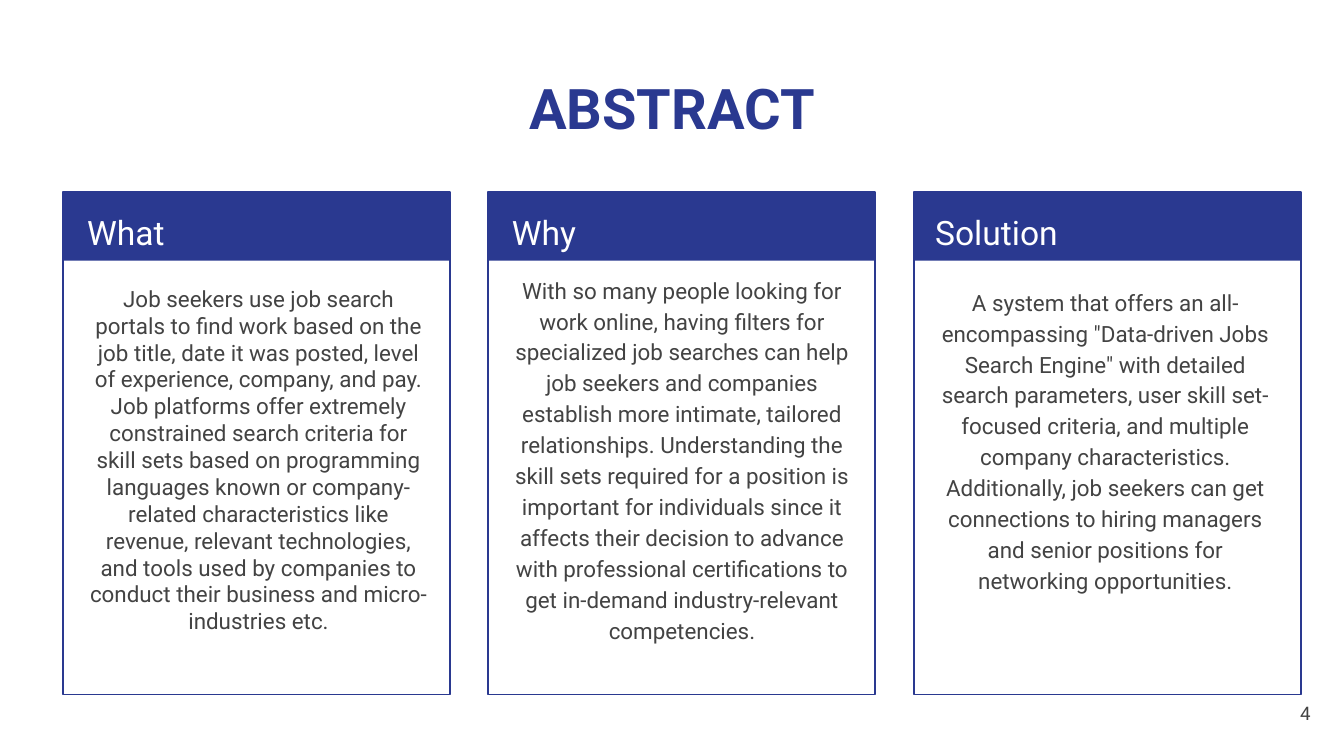
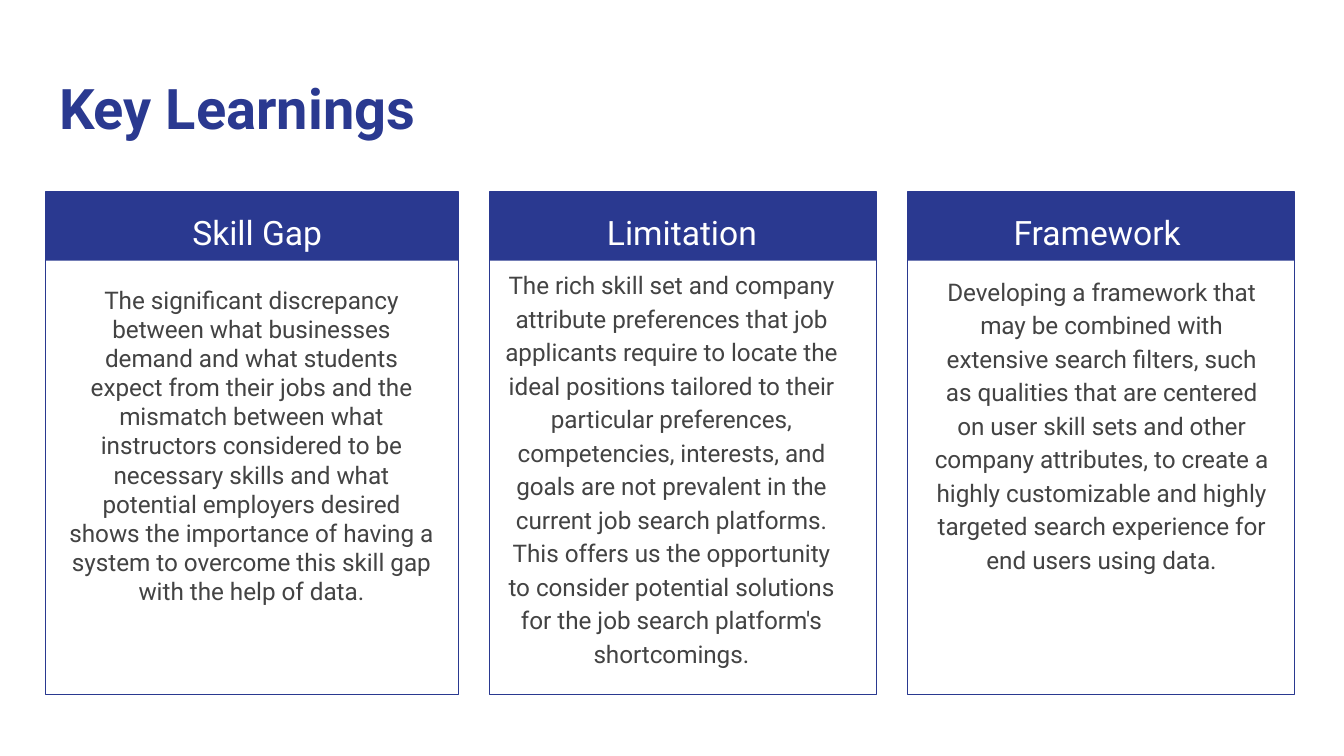
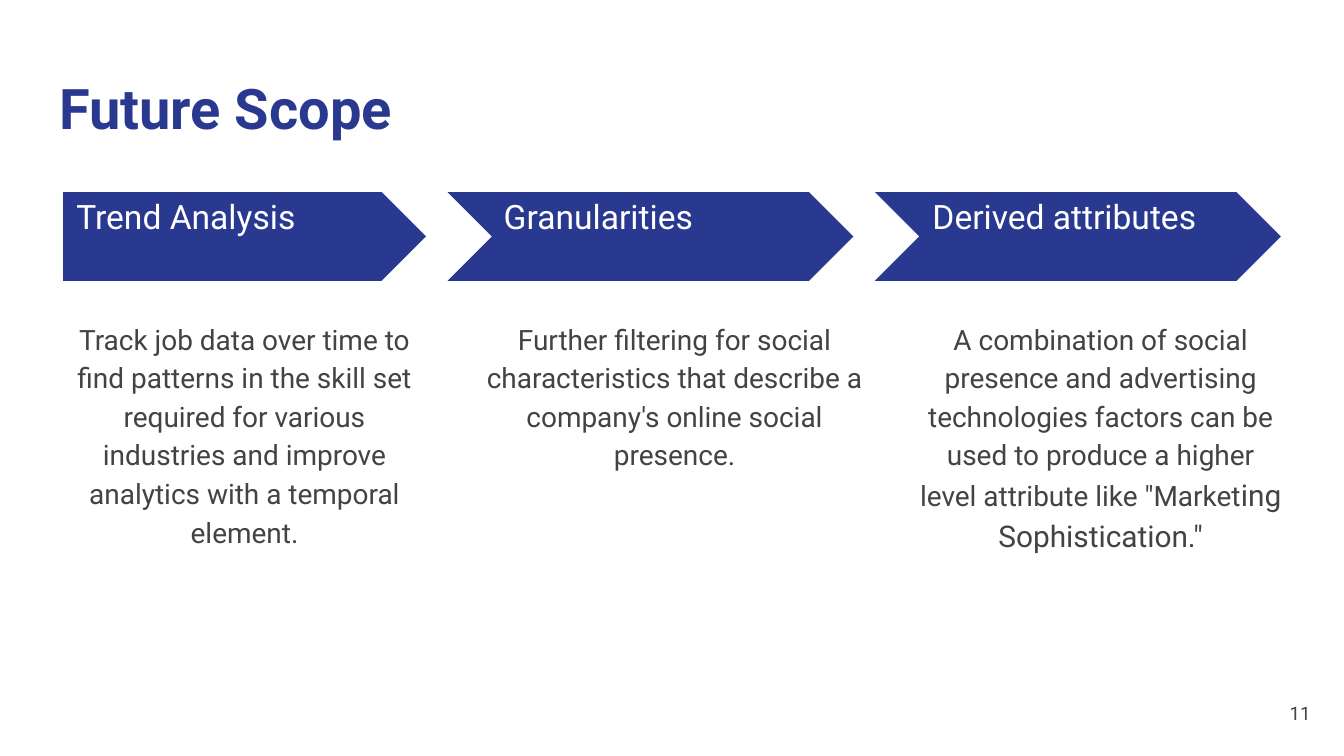
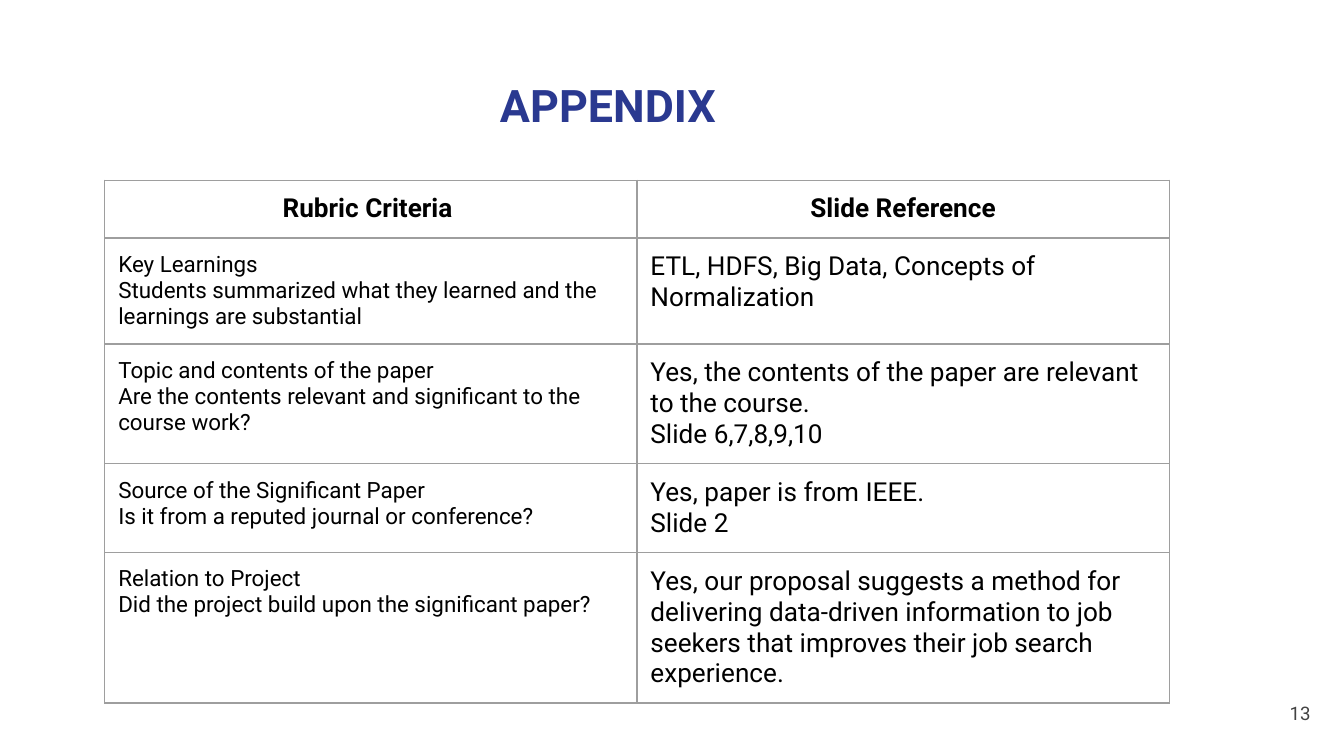
from pptx import Presentation
from pptx.dml.color import RGBColor
from pptx.enum.shapes import MSO_SHAPE as Shape
from pptx.enum.text import MSO_ANCHOR as Anchor, MSO_AUTO_SIZE as AutoSize, PP_ALIGN as Align
from pptx.oxml import parse_xml
from pptx.oxml.ns import nsdecls
from pptx.util import Inches, Pt

FONT = "Roboto"
BLUE = "2A3990"
GREY = "434343"
WHITE = "FFFFFF"
BLACK = "000000"
BORDER = "9E9E9E"
BAND_TOP = 1.43


def color(code):
    return RGBColor.from_string(code)


def write(frame, text, size, code, align=Align.LEFT, spacing=1.0, bold=False, anchor=Anchor.TOP):
    frame.text = text
    frame.word_wrap = True
    frame.auto_size = AutoSize.NONE
    frame.vertical_anchor = anchor
    frame.margin_left = frame.margin_right = Inches(0.1)
    frame.margin_top = frame.margin_bottom = Inches(0.1)
    for para in frame.paragraphs:
        para.alignment = align
        para.line_spacing = spacing
        for span in para.runs:
            span.font.name = FONT
            span.font.size = Pt(size)
            span.font.bold = bold
            span.font.color.rgb = color(code)


deck = Presentation()
deck.slide_width = Inches(10)
deck.slide_height = deck.slide_width * 9 // 16

headings = [
    ("ABSTRACT", (0.34, 0.45, 9.32, 0.66), 30, Align.CENTER, "4"),
    ("Key Learnings", (0.34, 0.45, 9.32, 0.66), 30, Align.LEFT, None),
    ("Future Scope", (0.34, 0.45, 9.32, 0.66), 30, Align.LEFT, "11"),
    ("APPENDIX", (3.62, 0.48, 2.25, 0.61), 24, Align.LEFT, "13"),
]
pages = []
for heading, place, size, align, number in headings:
    page = deck.slides.add_slide(deck.slide_layouts[5])
    title = page.shapes.title
    title.left, title.top, title.width, title.height = [Inches(value) for value in place]
    write(title.text_frame, heading, size, BLUE, align, bold=True)
    if number:
        box = page.shapes.add_textbox(Inches(9.25), Inches(5.09), Inches(0.6), Inches(0.43))
        write(box.text_frame, number, 10, GREY, Align.RIGHT, anchor=Anchor.MIDDLE)
    pages.append(page)
abstract, learnings, future, appendix = pages

cards = [
    (abstract, 0.47, 2.88, "What", 0.55, Align.LEFT, (0.56, 2.02, 2.73), 12, 1.0,
     "Job seekers use job search portals to find work based on the job title, date it was posted, "
     "level of experience, company, and pay. Job platforms offer extremely constrained search "
     "criteria for skill sets based on programming languages known or company-related "
     "characteristics like revenue, relevant technologies, and tools used by companies to conduct "
     "their business and micro-industries etc."),
    (abstract, 3.63, 2.88, "Why", 3.71, Align.LEFT, (3.72, 1.93, 2.71), 12, 1.15,
     "With so many people looking for work online, having filters for specialized job searches "
     "can help job seekers and companies establish more intimate, tailored relationships. "
     "Understanding the skill sets required for a position is important for individuals since it "
     "affects their decision to advance with professional certifications to get in-demand "
     "industry-relevant competencies."),
    (abstract, 6.8, 2.88, "Solution", 6.86, Align.LEFT, (6.87, 2.02, 2.71), 12, 1.15,
     'A system that offers an all-encompassing "Data-driven Jobs Search Engine" with detailed '
     "search parameters, user skill set-focused criteria, and multiple company characteristics. "
     "Additionally, job seekers can get connections to hiring managers and senior positions for "
     "networking opportunities."),
    (learnings, 0.34, 3.07, "Skill Gap", 0.55, Align.CENTER, (0.4, 2.02, 2.94), 13, 1.0,
     "The significant discrepancy between what businesses demand and what students expect from "
     "their jobs and the mismatch between what instructors considered to be necessary skills and "
     "what potential employers desired shows the importance of having a system to overcome this "
     "skill gap with the help of data."),
    (learnings, 3.64, 2.88, "Limitation", 3.71, Align.CENTER, (3.64, 1.88, 2.71), 13, 1.15,
     "The rich skill set and company attribute preferences that job applicants require to locate "
     "the ideal positions tailored to their particular preferences, competencies, interests, and "
     "goals are not prevalent in the current job search platforms. This offers us the opportunity "
     "to consider potential solutions for the job search platform's shortcomings."),
    (learnings, 6.75, 2.88, "Framework ", 6.83, Align.CENTER, (6.84, 1.93, 2.71), 13, 1.15,
     "Developing a framework that may be combined with extensive search filters, such as "
     "qualities that are centered on user skill sets and other company attributes, to create a "
     "highly customizable and highly targeted search experience for end users using data."),
]
for page, left, width, label, label_left, align, body_place, size, spacing, body in cards:
    band = page.shapes.add_shape(
        Shape.RECTANGLE, Inches(left), Inches(BAND_TOP), Inches(width), Inches(0.51))
    band.shadow.inherit = False
    band.fill.solid()
    band.fill.fore_color.rgb = color(BLUE)
    band.line.fill.background()

    outline = page.shapes.add_shape(
        Shape.RECTANGLE, Inches(left), Inches(BAND_TOP), Inches(width), Inches(3.74))
    outline.shadow.inherit = False
    outline.fill.background()
    outline.line.color.rgb = color(BLUE)
    outline.line.width = Pt(0.75)

    box = page.shapes.add_textbox(Inches(label_left), Inches(BAND_TOP), Inches(2.73), Inches(0.5))
    write(box.text_frame, label, 18, WHITE, align, 1.15)

    body_left, body_top, body_width = body_place
    box = page.shapes.add_textbox(
        Inches(body_left), Inches(body_top), Inches(body_width), Inches(3.06))
    write(box.text_frame, body, size, GREY, Align.CENTER, spacing)

steps = [
    (Shape.PENTAGON, 0.47, 2.7, "Trend Analysis", 0.47, 0.47, 2.7,
     "Track job data over time to find patterns in the skill set required for various industries "
     "and improve analytics with a temporal element.", ""),
    (Shape.CHEVRON, 3.33, 3.02, "Granularities", 3.65, 3.47, 3.1,
     "Further filtering for social characteristics that describe a company's online social "
     "presence.", ""),
    (Shape.CHEVRON, 6.51, 3.02, "Derived attributes", 6.84, 6.72, 2.94,
     "A combination of social presence and advertising technologies factors can be used to "
     'produce a higher level attribute like "Market', 'ing Sophistication."'),
]
for kind, left, width, label, label_left, body_left, body_width, body, larger_ending in steps:
    arrow = future.shapes.add_shape(
        kind, Inches(left), Inches(BAND_TOP), Inches(width), Inches(0.66))
    arrow.adjustments[0] = 0.5
    arrow.shadow.inherit = False
    arrow.fill.solid()
    arrow.fill.fore_color.rgb = color(BLUE)
    arrow.line.fill.background()

    box = future.shapes.add_textbox(Inches(label_left), Inches(1.44), Inches(2.47), Inches(0.34))
    write(box.text_frame, label, 18, WHITE, anchor=Anchor.MIDDLE)

    box = future.shapes.add_textbox(
        Inches(body_left), Inches(2.26), Inches(body_width), Inches(2.9))
    write(box.text_frame, body, 15, GREY, Align.CENTER, 1.15)
    if larger_ending:
        span = box.text_frame.paragraphs[0].add_run()
        span.text = larger_ending
        span.font.name = FONT
        span.font.size = Pt(16)
        span.font.color.rgb = color(GREY)

rubric = [
    (0.42, "Rubric Criteria ", "Slide Reference"),
    (0.79, "Key Learnings\n"
     "Students summarized what they learned and the learnings are substantial",
     "ETL, HDFS, Big Data, Concepts of Normalization"),
    (0.88, "Topic and contents of the paper\n"
     "Are the contents relevant and significant to the course work?",
     "Yes, the contents of the paper are relevant to the course. \vSlide 6,7,8,9,10"),
    (0.66, "Source of the Significant Paper\n"
     "Is it from a reputed journal or conference?",
     "Yes, paper is from IEEE.\vSlide 2"),
    (1.12, "Relation to Project\n"
     "Did the project build upon the significant paper?",
     "Yes, our proposal suggests a method for delivering data-driven information to job seekers "
     "that improves their job search experience."),
]
table_height = sum(height for height, *texts in rubric)
table = appendix.shapes.add_table(
    len(rubric), 2, Inches(0.78), Inches(1.34), Inches(7.92), Inches(table_height)).table
table.first_row = False
table.horz_banding = False
for column in table.columns:
    column.width = Inches(3.96)
for row_index, (height, *texts) in enumerate(rubric):
    table.rows[row_index].height = Inches(height)
    header = row_index == 0
    for column_index, text in enumerate(texts):
        cell = table.cell(row_index, column_index)
        size = 14 if header or column_index == 1 else 12
        align = Align.CENTER if header else Align.LEFT
        write(cell.text_frame, text, size, BLACK, align, bold=header)
        cell.margin_left = cell.margin_right = Inches(0.1)
        cell.margin_top = cell.margin_bottom = Inches(0.1)
        properties = cell._tc.get_or_add_tcPr()
        for side in ("lnL", "lnR", "lnT", "lnB"):
            properties.append(parse_xml(
                f'<a:{side} {nsdecls("a")} w="{Pt(0.75)}"><a:solidFill>'
                f'<a:srgbClr val="{BORDER}"/></a:solidFill></a:{side}>'))
        cell.fill.background()

deck.save("out.pptx")
